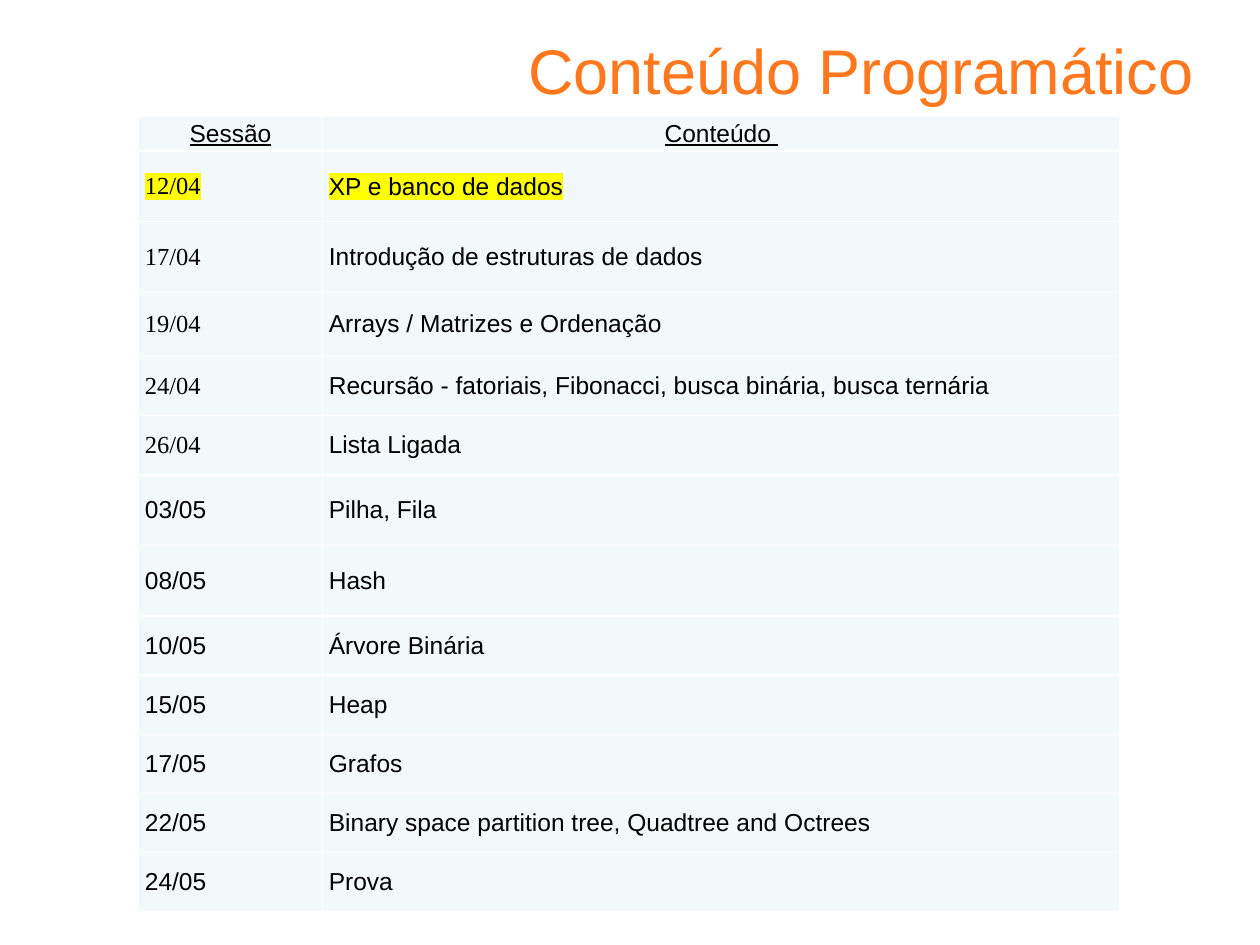
from lxml import etree
from pptx import Presentation
from pptx.dml.color import RGBColor
from pptx.enum.text import MSO_ANCHOR, PP_ALIGN
from pptx.oxml.ns import qn
from pptx.util import Inches, Pt

CENTER, RIGHT, JUSTIFY = PP_ALIGN.CENTER, PP_ALIGN.RIGHT, PP_ALIGN.JUSTIFY
MIDDLE, TOP = MSO_ANCHOR.MIDDLE, MSO_ANCHOR.TOP
SANS, SERIF = "Arial", "Times New Roman"
ORANGE, BLACK, WHITE = "FF781D", "000000", "FFFFFF"
CELL_FILL, YELLOW = "F3F9FA", "FFFF00"

# Content
TITLE = "Conteúdo Programático"
HEADER = ("Sessão", "Conteúdo ")
SESSIONS = [  # date, content, row height
    ("12/04", "XP e banco de dados", 0.56),
    ("17/04", "Introdução de estruturas de dados", 0.56),
    ("19/04", "Arrays / Matrizes e Ordenação", 0.51),
    ("24/04", "Recursão - fatoriais, Fibonacci, busca binária, busca ternária", 0.47),
    ("26/04", "Lista Ligada", 0.47),
    ("03/05", "Pilha, Fila", 0.56),
    ("08/05", "Hash", 0.56),
    ("10/05", "Árvore Binária", 0.47),
    ("15/05", "Heap", 0.47),
    ("17/05", "Grafos", 0.47),
    ("22/05", "Binary space partition tree, Quadtree and Octrees", 0.47),
    ("24/05", "Prova", 0.47),
]
HIGHLIGHTED = "12/04"
SERIF_MONTH = "/04"
HEADER_HEIGHT = 0.28
COLUMN_WIDTHS = (1.46, 6.33)

TITLE_FRAME = {
    "word_wrap": True, "vertical_anchor": TOP,
    "margin_left": Inches(0.1), "margin_right": Inches(0.1),
    "margin_top": Inches(0.11), "margin_bottom": Inches(0),
}
CELL_FORMAT = {
    "vertical_anchor": MIDDLE,
    "margin_left": Inches(0.05), "margin_right": Inches(0.05),
    "margin_top": 0, "margin_bottom": 0,
}


def color(value):
    return RGBColor.from_string(value)


def set_all(target, values):
    for name, value in values.items():
        setattr(target, name, value)


def write(text_frame, text, alignment, hue, **font):
    paragraph = text_frame.paragraphs[0]
    paragraph.alignment = alignment
    run = paragraph.add_run()
    run.text = text
    set_all(run.font, font)
    run.font.color.rgb = color(hue)
    return run


def highlight(run, hue):
    mark = etree.Element(qn("a:highlight"))
    etree.SubElement(mark, qn("a:srgbClr"), val=hue)
    run.font._element.find(qn("a:solidFill")).addnext(mark)


def add_borders(cell, hue, width):
    properties = cell._tc.get_or_add_tcPr()
    for index, side in enumerate(("lnL", "lnR", "lnT", "lnB")):
        line = etree.Element(qn("a:" + side), w=str(Pt(width)))
        fill = etree.SubElement(line, qn("a:solidFill"))
        etree.SubElement(fill, qn("a:srgbClr"), val=hue)
        properties.insert(index, line)


presentation = Presentation()
presentation.slide_width, presentation.slide_height = Inches(10), Inches(7.5)
slide = presentation.slides.add_slide(presentation.slide_layouts[6])

# Title
title = slide.shapes.add_textbox(Inches(2.4), Inches(0.14), Inches(7.17), Inches(0.7))
set_all(title.text_frame, TITLE_FRAME)
write(title.text_frame, TITLE, RIGHT, ORANGE, name=SANS, size=Pt(36))

# Schedule table
rows = [(*HEADER, HEADER_HEIGHT), *SESSIONS]
table = slide.shapes.add_table(
    len(rows), len(COLUMN_WIDTHS), Inches(1.1), Inches(0.92),
    Inches(sum(COLUMN_WIDTHS)), Inches(sum(row[-1] for row in rows))).table
for column, width in zip(table.columns, COLUMN_WIDTHS):
    column.width = Inches(width)

for row_index, (*texts, height) in enumerate(rows):
    table.rows[row_index].height = Inches(height)
    is_header = row_index == 0
    for column_index, text in enumerate(texts):
        cell = table.cell(row_index, column_index)
        set_all(cell, CELL_FORMAT)
        cell.fill.solid()
        cell.fill.fore_color.rgb = color(CELL_FILL)
        add_borders(cell, WHITE, 1)
        run = write(cell.text_frame, text, CENTER if is_header else JUSTIFY, BLACK,
                    name=SERIF if text.endswith(SERIF_MONTH) else SANS,
                    size=Pt(14), bold=False, underline=is_header)
        if texts[0] == HIGHLIGHTED:
            highlight(run, YELLOW)

presentation.save("out.pptx")
